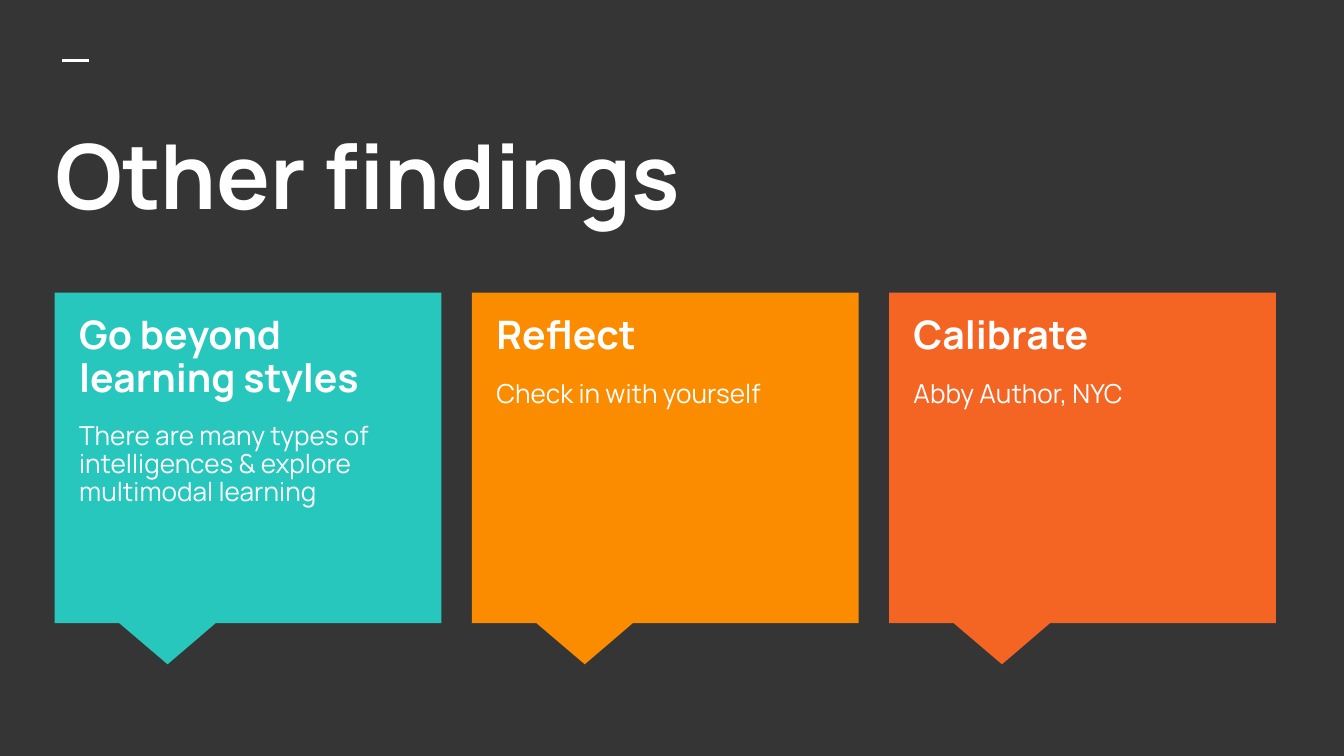
from pptx import Presentation
from pptx.dml.color import RGBColor
from pptx.enum.shapes import MSO_CONNECTOR, MSO_SHAPE
from pptx.enum.text import MSO_ANCHOR, MSO_AUTO_SIZE, PP_ALIGN
from pptx.oxml.ns import qn
from pptx.util import Pt
from lxml import etree

LINE = MSO_CONNECTOR.STRAIGHT
CALLOUT = MSO_SHAPE.RECTANGULAR_CALLOUT
TOP = MSO_ANCHOR.TOP
MIDDLE = MSO_ANCHOR.MIDDLE
LEFT = PP_ALIGN.LEFT
NO_FIT = MSO_AUTO_SIZE.NONE

DARK = RGBColor(0x35, 0x35, 0x35)
WHITE = RGBColor(0xFF, 0xFF, 0xFF)
TEAL = RGBColor(0x27, 0xC7, 0xBD)
AMBER = RGBColor(0xFB, 0x8C, 0x00)
CORAL = RGBColor(0xF4, 0x65, 0x24)

FONT = "Manrope"
CARD_X = 29.3
CARD_Y = 156.8
CARD_W = 207.2
CARD_H = 177
STEP = 223.5

CARDS = [
    (TEAL, "Go beyond learning styles",
     "There are many types of intelligences & explore multimodal learning"),
    (AMBER, "Reflect", "Check in with yourself"),
    (CORAL, "Calibrate", "Abby Author, NYC"),
]


def set_frame(frame, anchor):
    frame.word_wrap = True
    frame.auto_size = NO_FIT
    frame.vertical_anchor = anchor
    frame.margin_left = frame.margin_right = Pt(7.2)
    frame.margin_top = frame.margin_bottom = Pt(7.2)


def add_run(para, text, size, bold, after=0):
    para.alignment = LEFT
    para.line_spacing = 0.9
    para.space_before = Pt(0)
    para.space_after = Pt(after)
    run = para.add_run()
    run.text = text
    font = run.font
    font.name = FONT
    font.size = Pt(size)
    font.bold = bold
    font.color.rgb = WHITE


def add_title(slide, text):
    title = slide.shapes.title
    title.left, title.top = Pt(22.3), Pt(56.2)
    title.width, title.height = Pt(679), Pt(80.6)
    set_frame(title.text_frame, MIDDLE)
    add_run(title.text_frame.paragraphs[0], text, 48, True)


def add_dash(slide):
    dash = slide.shapes.add_connector(LINE, Pt(33.5), Pt(32.6), Pt(47.9), Pt(32.6))
    dash.line.color.rgb = WHITE
    dash.line.width = Pt(1.5)
    etree.SubElement(dash._element.spPr, qn("a:effectLst"))


def add_card(slide, left, fill, head, body):
    card = slide.shapes.add_shape(CALLOUT, Pt(left), Pt(CARD_Y), Pt(CARD_W), Pt(CARD_H))
    card.adjustments[0] = -0.208
    card.adjustments[1] = 0.625
    card.shadow.inherit = False
    card.fill.solid()
    card.fill.fore_color.rgb = fill
    card.line.fill.background()

    box = slide.shapes.add_textbox(Pt(left + 6), Pt(162), Pt(195), Pt(157.7))
    frame = box.text_frame
    set_frame(frame, TOP)
    add_run(frame.paragraphs[0], head, 21, True, 12)
    add_run(frame.add_paragraph(), body, 14, False, 12)


def main():
    deck = Presentation()
    deck.slide_width, deck.slide_height = Pt(720), Pt(405)
    slide = deck.slides.add_slide(deck.slide_layouts[5])
    slide.background.fill.solid()
    slide.background.fill.fore_color.rgb = DARK
    add_dash(slide)
    add_title(slide, "Other findings")
    for i, (fill, head, body) in enumerate(CARDS):
        add_card(slide, CARD_X + i * STEP, fill, head, body)
    deck.save("out.pptx")


if __name__ == "__main__":
    main()
